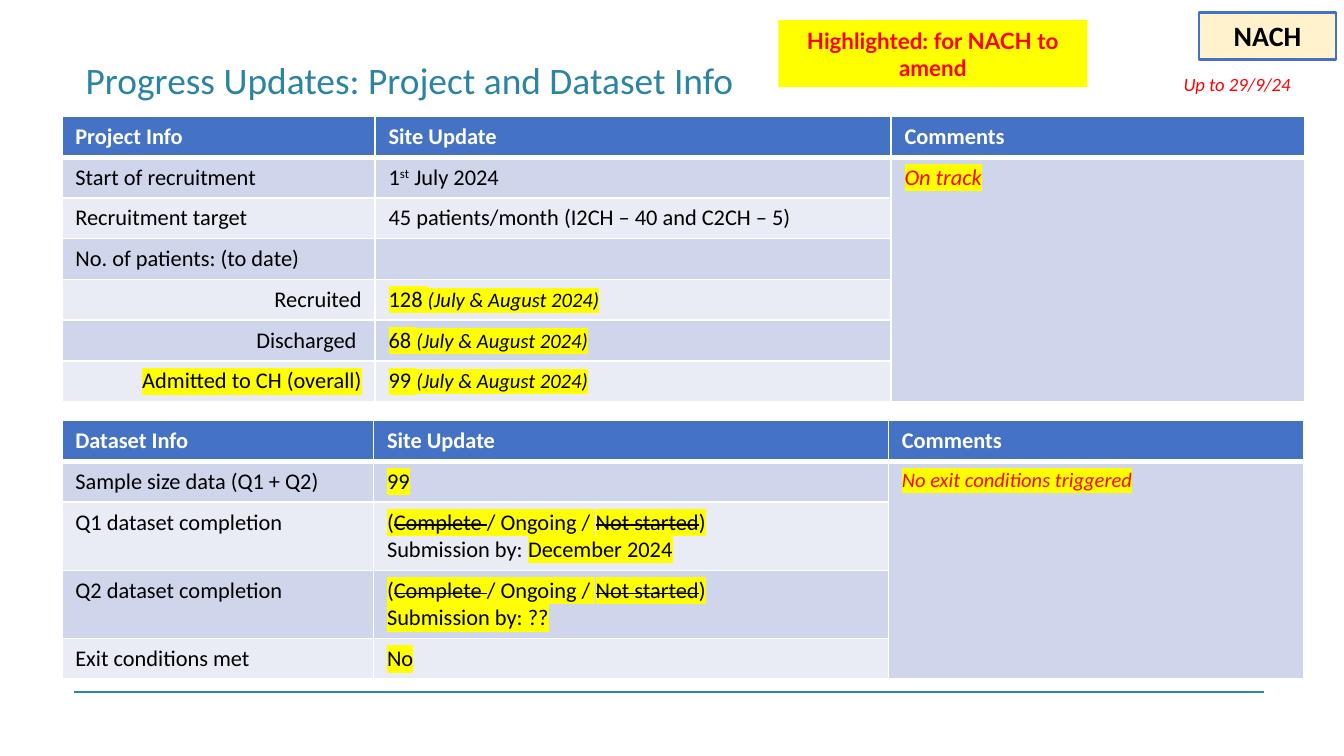
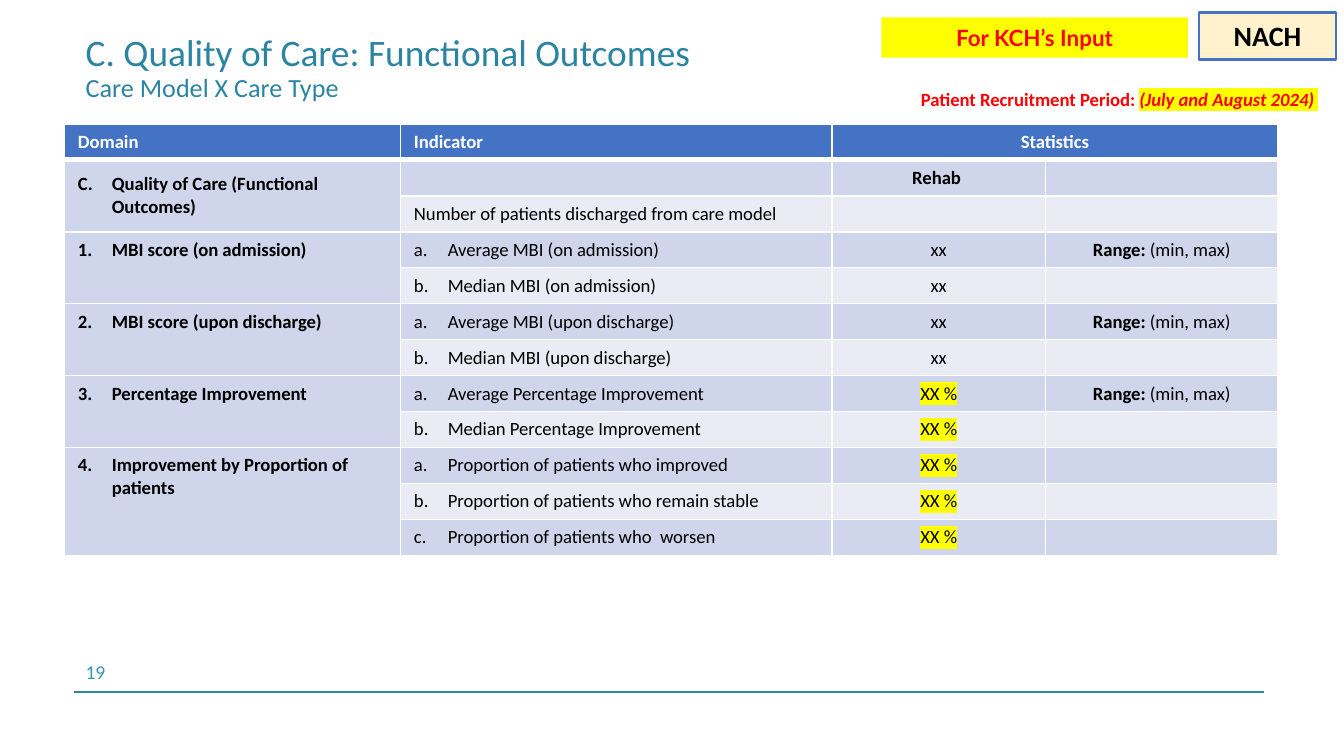
from dataclasses import dataclass, replace
from typing import Optional

import pptx
import pptx.util
import pptx.dml.color
import pptx.enum.shapes
import pptx.enum.text
import pptx.oxml
import pptx.oxml.ns
import lxml.etree

Cm = pptx.util.Cm
Pt = pptx.util.Pt
RGBColor = pptx.dml.color.RGBColor
Align = pptx.enum.text.PP_ALIGN
Anchor = pptx.enum.text.MSO_ANCHOR
qn = pptx.oxml.ns.qn

# Shared colours and fonts
WHITE = RGBColor(0xFF, 0xFF, 0xFF)
BLACK = RGBColor(0, 0, 0)
RED = RGBColor(0xFF, 0, 0)
YELLOW = RGBColor(0xFF, 0xFF, 0)
CREAM = RGBColor(0xFF, 0xF2, 0xCC)
BLUE = RGBColor(0x44, 0x72, 0xC4)
TEAL = RGBColor(0x2B, 0x84, 0xA1)
RULE = RGBColor(0x31, 0x85, 0x9C)
FOOT = RGBColor(0x35, 0x96, 0xB0)
BANDS = (RGBColor(0xE9, 0xEB, 0xF5), RGBColor(0xCF, 0xD5, 0xEA))
BODY = "Calibri"
LABEL = "Lato"


@dataclass(frozen=True)
class Run:
    text: str
    mark: bool = False
    strike: bool = False
    bold: Optional[bool] = None
    italic: Optional[bool] = None
    size: Optional[float] = None


@dataclass(frozen=True)
class Par:
    runs: tuple[Run, ...] = ()
    size: float = 12
    color: RGBColor = BLACK
    bold: bool = False
    italic: bool = False
    align: Optional[Align] = None
    face: str = BODY
    count: Optional[tuple[str, int]] = None
    space: Optional[float] = None


@dataclass(frozen=True)
class Cell:
    pars: tuple[Par, ...] = (Par(),)
    down: int = 1
    wide: int = 1
    anchor: Anchor = Anchor.TOP


@dataclass(frozen=True)
class Box:
    left: float
    top: float
    width: float
    height: float
    pars: tuple[Par, ...]
    fill: Optional[RGBColor] = None
    line: Optional[RGBColor] = None


@dataclass(frozen=True)
class Grid:
    left: float
    top: float
    cols: tuple[float, ...]
    rows: tuple[float, ...]
    cells: list[list[Optional[Cell]]]


# Text
def write_run(par, run: Run) -> None:
    item = par.add_run()
    item.text = run.text
    font = item.font
    font.bold, font.italic = run.bold, run.italic
    if run.size:
        font.size = Pt(run.size)
    props = item._r.get_or_add_rPr()
    if run.strike:
        props.set("strike", "sngStrike")
    if run.mark:
        mark = lxml.etree.SubElement(props, qn("a:highlight"))
        lxml.etree.SubElement(mark, qn("a:srgbClr"), val=str(YELLOW))


def write_pars(frame, pars: tuple[Par, ...]) -> None:
    for place, spec in enumerate(pars):
        par = frame.add_paragraph() if place else frame.paragraphs[0]
        font = par.font
        font.name, font.size = spec.face, Pt(spec.size)
        font.bold, font.italic = spec.bold, spec.italic
        font.color.rgb = spec.color
        if spec.align is not None:
            par.alignment = spec.align
        if spec.count:
            kind, start = spec.count
            props = par._p.get_or_add_pPr()
            props.set("marL", str(Cm(0.64)))
            props.set("indent", str(-Cm(0.64)))
            num = lxml.etree.Element(qn("a:buAutoNum"), type=kind, startAt=str(start))
            props.insert(0, num)
        if spec.space:
            par.line_spacing = spec.space
        for run in spec.runs:
            write_run(par, run)
        if not spec.runs:
            lxml.etree.SubElement(par._p, qn("a:endParaRPr"), sz=str(int(spec.size * 100)))


# Shapes
def draw_box(slide, box: Box) -> None:
    shape = slide.shapes.add_shape(
        pptx.enum.shapes.MSO_SHAPE.RECTANGLE,
        Cm(box.left), Cm(box.top), Cm(box.width), Cm(box.height))
    shape.shadow.inherit = False
    shape.fill.solid()
    shape.fill.fore_color.rgb = box.fill
    if box.line is None:
        shape.line.fill.background()
    else:
        shape.line.color.rgb = box.line
        shape.line.width = Pt(1.5)
    frame = shape.text_frame
    frame.word_wrap = True
    frame.vertical_anchor = Anchor.MIDDLE
    write_pars(frame, box.pars)


def draw_text(slide, box: Box, anchor: Anchor = Anchor.TOP, inset=(0.25, 0.13)) -> None:
    shape = slide.shapes.add_textbox(Cm(box.left), Cm(box.top), Cm(box.width), Cm(box.height))
    frame = shape.text_frame
    frame.word_wrap = True
    frame.vertical_anchor = anchor
    frame.margin_left = frame.margin_right = Cm(inset[0])
    frame.margin_top = frame.margin_bottom = Cm(inset[1])
    write_pars(frame, box.pars)


# Tables
def edge_cell(cell, row: int) -> None:
    props = cell._tc.get_or_add_tcPr()
    for side in "LRTB":
        thick = (row, side) in ((0, "B"), (1, "T"))
        line = lxml.etree.SubElement(props, qn(f"a:ln{side}"), w=str(Pt(3 if thick else 1)))
        fill = lxml.etree.SubElement(line, qn("a:solidFill"))
        lxml.etree.SubElement(fill, qn("a:srgbClr"), val=str(WHITE))


def draw_grid(slide, grid: Grid) -> None:
    table = slide.shapes.add_table(
        len(grid.rows), len(grid.cols), Cm(grid.left), Cm(grid.top),
        Cm(sum(grid.cols)), Cm(sum(grid.rows))).table
    table.first_row = table.horz_banding = False
    for col, width in zip(table.columns, grid.cols):
        col.width = Cm(width)
    for row, (height, specs) in enumerate(zip(grid.rows, grid.cells)):
        table.rows[row].height = Cm(height)
        for col, spec in enumerate(specs):
            cell = table.cell(row, col)
            edge_cell(cell, row)
            cell.fill.solid()
            cell.fill.fore_color.rgb = BANDS[row % 2] if row else BLUE
            if spec is None:
                write_pars(cell.text_frame, (Par(size=10),))
                continue
            cell.vertical_anchor = spec.anchor
            write_pars(cell.text_frame, spec.pars)
            if spec.down > 1 or spec.wide > 1:
                cell.merge(table.cell(row + spec.down - 1, col + spec.wide - 1))


def make_cell(*runs: str | Run, down: int = 1, wide: int = 1,
              anchor: Anchor = Anchor.TOP, **style) -> Cell:
    items = tuple(Run(run) if isinstance(run, str) else run for run in runs)
    return Cell((Par(items, **style),), down, wide, anchor)


def make_head(text: str, **style) -> Cell:
    return make_cell(text, color=WHITE, bold=True, **style)


# Parts on every slide
def start_slide(deck, height: float, title: str, under: str = "", page: str = ""):
    slide = deck.slides.add_slide(deck.slide_layouts[6])
    if page:
        draw_text(slide, Box(1.37, 12.34, 3.02, 0.71, (Par((Run(page),), 10.5, FOOT),)))
    line = slide.shapes.add_connector(
        pptx.enum.shapes.MSO_CONNECTOR.STRAIGHT, Cm(23.88), Cm(13.08), Cm(1.4), Cm(13.08))
    line.line.color.rgb = RULE
    line.line.width = Pt(1)
    lxml.etree.SubElement(line._element.spPr, qn("a:effectLst"))
    pars = tuple(Par((Run(text),), size, TEAL, space=0.9)
                 for text, size in ((title, 20), (under, 14)) if text)
    draw_text(slide, Box(1.42, 0.51, 17.02, height, pars), Anchor.MIDDLE, (0.2, 0.1))
    return slide


def make_label(text: str) -> tuple[Par, ...]:
    return (Par((Run(text),), 12, RED, True, align=Align.CENTER, face=LABEL),)


BADGE = Box(22.66, 0.23, 2.59, 0.89,
            (Par((Run("NACH"),), 15, bold=True, align=Align.CENTER),), CREAM, BLUE)


# Slide: project and dataset
def build_info(deck) -> None:
    slide = start_slide(deck, 2.08, "Progress Updates: Project and Dataset Info")

    def heads(first: str) -> list[Cell]:
        return [make_head(text) for text in (first, "Site Update", "Comments")]

    def status(*last: Run) -> Cell:
        parts = (Run("(", True), Run("Complete ", True, True), Run("/ Ongoing / ", True),
                 Run("Not started", True, True), Run(")", True))
        return Cell((Par(parts), Par(last)))

    def tally(name: str, count: str, mark: bool = False) -> list[Optional[Cell]]:
        return [make_cell(Run(name, mark), align=Align.RIGHT),
                make_cell(Run(count + " ", True),
                          Run("(July & August 2024)", True, italic=True, size=11)), None]

    dataset = [
        heads("Dataset Info"),
        [make_cell("Sample size data (Q1 + Q2)"), make_cell(Run("99", True)),
         make_cell(Run("No exit conditions triggered", True),
                   down=4, size=11, color=RED, italic=True)],
        [make_cell("Q1 dataset completion"),
         status(Run("Submission by: "), Run("December 2024", True)), None],
        [make_cell("Q2 dataset completion"), status(Run("Submission by: ??", True)), None],
        [make_cell("Exit conditions met"), make_cell(Run("No", True)), None],
    ]
    draw_grid(slide, Grid(1.17, 7.95, (5.89, 9.73, 7.85),
                          (0.77, 0.77, 1.29, 1.29, 0.77), dataset))

    start = Cell((Par((Run("1"), Run("st"), Run(" July 2024"))),))
    project = [
        heads("Project Info"),
        [make_cell("Start of recruitment"), start,
         make_cell(Run("On track", True), down=6, color=RED, italic=True)],
        [make_cell("Recruitment target"),
         make_cell("45 patients/month (I2CH – 40 and C2CH – 5)"), None],
        [make_cell("No. of patients: (to date)"), Cell(), None],
        tally("Recruited", "128"),
        tally("Discharged ", "68"),
        tally("Admitted to CH (overall)", "99", True),
    ]
    draw_grid(slide, Grid(1.17, 2.2, (5.92, 9.75, 7.82), (0.77,) * 7, project))
    # Raise the ordinal ending
    table = slide.shapes[-1].table
    table.cell(1, 1).text_frame.paragraphs[0].runs[1].font._element.set("baseline", "30000")

    draw_box(slide, BADGE)
    draw_box(slide, Box(14.71, 0.38, 5.84, 1.27,
                        make_label("Highlighted: for NACH to amend"), YELLOW))
    date = Par((Run("Up to 29/9/24"),), 10, RED, italic=True, align=Align.RIGHT)
    draw_box(slide, Box(20.98, 1.24, 3.66, 0.69, (date,), WHITE))


# Slide: outcomes
def build_care(deck) -> None:
    slide = start_slide(deck, 1.57, "C. Quality of Care: Functional Outcomes",
                        "Care Model X Care Type", "19")
    mid = Align.CENTER
    blank = Cell((Par(size=10),))
    cells = [
        [make_head("Domain", size=10), make_head("Indicator", size=10),
         make_head("Statistics", size=10, wide=2, align=mid), None],
        [make_cell("Quality of Care (Functional Outcomes)", down=2, size=10, bold=True,
                   anchor=Anchor.MIDDLE, count=("alphaUcPeriod", 3)),
         blank, make_cell("Rehab ", size=10, bold=True, align=mid), blank],
        [None, make_cell("Number of patients discharged from care model", size=10),
         blank, blank],
    ]
    # Domain, value, marked, has range, indicators
    groups = (
        ("MBI score (on admission)", "xx", False, True,
         ("Average MBI (on admission)", "Median MBI (on admission)")),
        ("MBI score (upon discharge)", "xx", False, True,
         ("Average MBI (upon discharge)", "Median MBI (upon discharge)")),
        ("Percentage Improvement", "XX %", True, True,
         ("Average Percentage Improvement", "Median Percentage Improvement")),
        ("Improvement by Proportion of patients", "XX %", True, False,
         ("Proportion of patients who improved", "Proportion of patients who remain stable",
          "Proportion of patients who  worsen")),
    )
    span = make_cell(Run("Range: ", bold=True), "(min, max)", size=10, align=mid)
    for rank, (name, value, mark, ranged, items) in enumerate(groups, 1):
        for place, item in enumerate(items, 1):
            first = place == 1
            domain = make_cell(name, down=len(items), size=10, bold=True,
                               count=("arabicPeriod", rank))
            cells.append([
                domain if first else None,
                make_cell(item, size=10, count=("alphaLcPeriod", place)),
                make_cell(Run(value, mark), size=10, align=mid),
                span if first and ranged else blank])
    draw_grid(slide, Grid(1.22, 2.34, (6.35, 8.15, 4.04, 4.39), (0.68,) * 12, cells))

    draw_box(slide, BADGE)
    period = Par((Run("Patient Recruitment Period: "),
                  Run("(July and August 2024)", True, italic=True),
                  Run(" ", True, bold=False, italic=True)), 10, RED, True, align=mid)
    draw_box(slide, Box(17.07, 1.52, 8.18, 0.69, (period,), WHITE))
    draw_box(slide, replace(BADGE, left=16.66, top=0.33, width=5.79, height=0.76,
                            pars=make_label("For KCH’s Input"), fill=YELLOW, line=None))


def main() -> None:
    deck = pptx.Presentation()
    deck.slide_width, deck.slide_height = Cm(25.4), Cm(14.29)
    build_info(deck)
    build_care(deck)
    deck.save("out.pptx")


if __name__ == "__main__":
    main()
